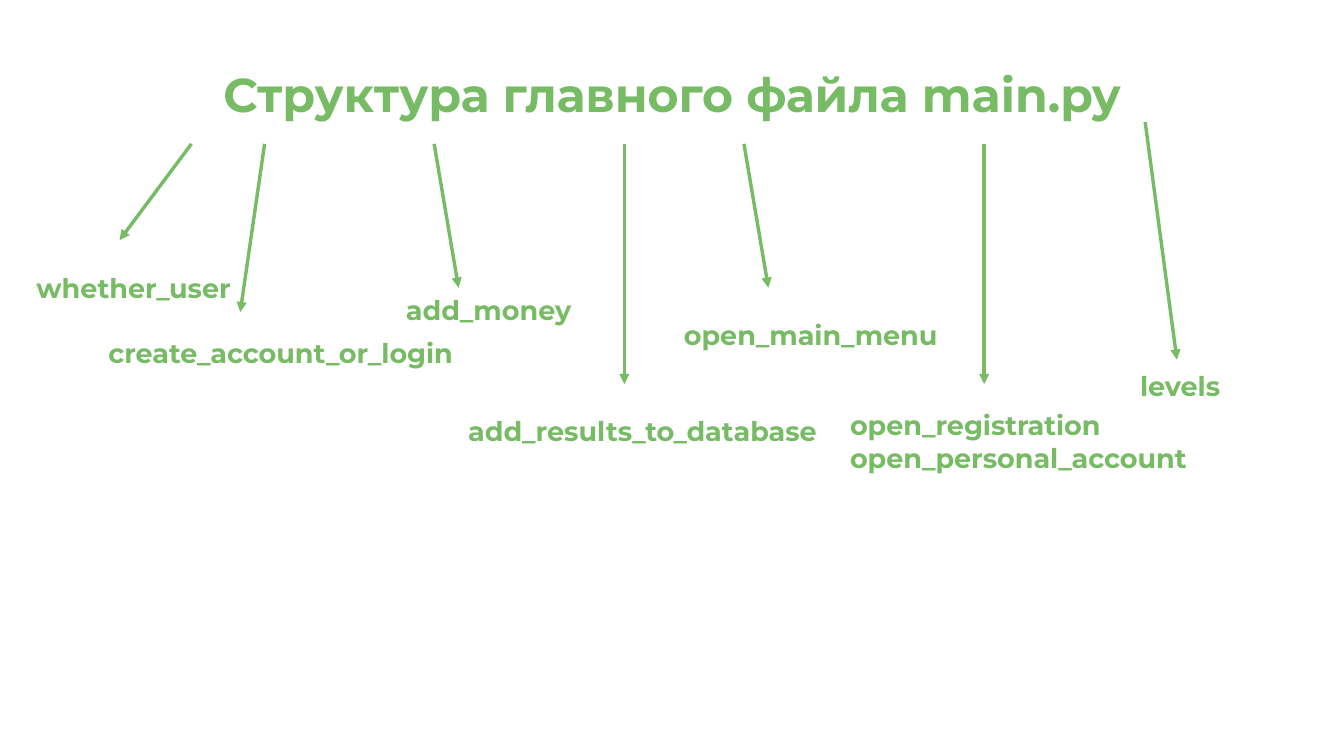
import pptx
import pptx.dml.color
import pptx.enum.shapes
import pptx.enum.text
import pptx.oxml.ns
import pptx.util
from lxml import etree

Inches = pptx.util.Inches
ALIGN = pptx.enum.text.PP_ALIGN
ANCHOR = pptx.enum.text.MSO_ANCHOR
GREEN = pptx.dml.color.RGBColor(0x77, 0xBC, 0x65)
WHITE = pptx.dml.color.RGBColor(0xFF, 0xFF, 0xFF)
FONT = "Montserrat"

# Boxes: left, top, width, height
TITLE_BOX = (0.55, 0.25, 9.92, 1.04)
DIAGRAM_BOX = (0, 1, 11.02, 3.53)

# Inside the diagram: arrow start, arrow end, label box, label margins, label
BRANCHES = [
    ((1.57, 0.18), (0.98, 0.97), (0.2, 1.18, 7.55, 0.57), (0.1, 0.05), "whether_user"),
    ((2.17, 0.18), (1.97, 1.56), (0.79, 1.71, 3.28, 0.64), (0.1, 0.05), "create_account_or_login"),
    ((3.56, 0.18), (3.76, 1.36), (3.23, 1.36, 1.73, 0.64), (0.1, 0.05), "add_money"),
    ((5.12, 0.18), (5.12, 2.15), (3.74, 2.35, 4.1, 1.18), (0.1, 0.05), "add_results_to_database"),
    ((6.1, 0.18), (6.3, 1.36), (5.51, 1.56, 3.63, 0.91), (0.1, 0.05), "open_main_menu"),
    ((8.07, 0.18), (8.07, 2.15), (6.97, 2.35, 3.07, 0.81), (0, 0),
     "open_registration\nopen_personal_account"),
    ((9.39, 0), (9.65, 1.95), (9.25, 1.98, 1.14, 0.37), (0.1, 0.05), "levels"),
]


def write_text(shape, text, size=16, align=ALIGN.LEFT, anchor=ANCHOR.TOP, margins=(0.1, 0.05)):
    frame = shape.text_frame
    frame.word_wrap = True
    frame.auto_size = pptx.enum.text.MSO_AUTO_SIZE.NONE
    frame.vertical_anchor = anchor
    frame.margin_left = frame.margin_right = Inches(margins[0])
    frame.margin_top = frame.margin_bottom = Inches(margins[1])
    frame.text = text
    for para in frame.paragraphs:
        para.alignment = align
        para.space_before = para.space_after = pptx.util.Pt(0)
        para.line_spacing = 1.0
        for span in para.runs:
            span.font.name = FONT
            span.font.size = pptx.util.Pt(size)
            span.font.bold = True
            span.font.color.rgb = GREEN


def add_title(page, box):
    title = page.shapes.title
    title.left, title.top, title.width, title.height = map(Inches, box)
    write_text(title, "Структура главного файла main.py", size=28,
               align=ALIGN.CENTER, anchor=ANCHOR.MIDDLE, margins=(0, 0))


def add_arrow(page, start, end):
    arrow = page.shapes.add_connector(
        pptx.enum.shapes.MSO_CONNECTOR.STRAIGHT, *map(Inches, start + end))
    arrow.line.color.rgb = GREEN
    arrow.line.width = pptx.util.Pt(0)
    qn = pptx.oxml.ns.qn
    properties = arrow.element.spPr
    etree.SubElement(properties.find(qn("a:ln")), qn("a:tailEnd"), type="triangle")
    etree.SubElement(properties, qn("a:effectLst"))


def add_diagram(page, box):
    left, top = box[:2]
    for start, end, label_box, margins, text in BRANCHES:
        # Arrow from the title
        add_arrow(page, (left + start[0], top + start[1]), (left + end[0], top + end[1]))
        # Function name
        x, y, width, height = label_box
        label = page.shapes.add_textbox(*map(Inches, (left + x, top + y, width, height)))
        write_text(label, text, margins=margins)


def main():
    deck = pptx.Presentation()
    deck.slide_width, deck.slide_height = Inches(11.02), Inches(6.2)
    page = deck.slides.add_slide(deck.slide_layouts.get_by_name("Title Only"))
    page.background.fill.solid()
    page.background.fill.fore_color.rgb = WHITE
    add_title(page, TITLE_BOX)
    add_diagram(page, DIAGRAM_BOX)
    deck.save("out.pptx")


if __name__ == "__main__":
    main()
